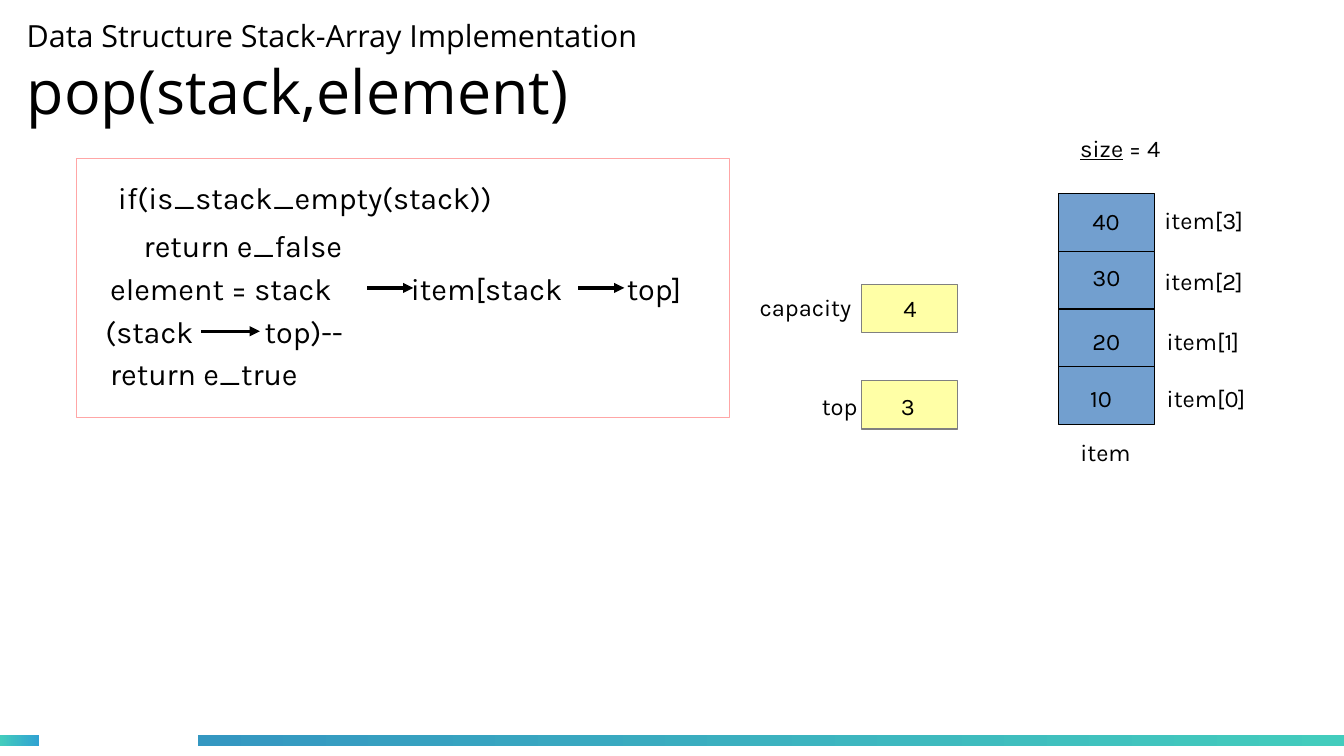
from dataclasses import dataclass

from lxml import etree
from pptx import Presentation
from pptx.dml.color import RGBColor
from pptx.enum import shapes, text
from pptx.oxml import ns
from pptx.util import Pt

BLACK = "000000"
CODE_SIZE = 18
LABEL_SIZE = 14


@dataclass
class Panel:
    left: float
    top: float
    width: float
    height: float
    fill: str
    line: str


@dataclass
class Bar:
    left: float
    width: float
    start: str
    end: str


@dataclass
class Label:
    left: float
    top: float
    width: float
    words: str
    size: float = LABEL_SIZE
    tabs: tuple[float, ...] = ()


@dataclass
class Arrow:
    start: float
    end: float
    y: float


def colour(value: str) -> RGBColor:
    return RGBColor.from_string(value)


def add_rectangle(page, left: float, top: float, width: float, height: float):
    shape = page.shapes.add_shape(
        shapes.MSO_SHAPE.RECTANGLE, Pt(left), Pt(top), Pt(width), Pt(height))
    shape.shadow.inherit = False
    return shape


def draw_panel(page, panel: Panel) -> None:
    shape = add_rectangle(page, panel.left, panel.top, panel.width, panel.height)
    shape.fill.solid()
    shape.fill.fore_color.rgb = colour(panel.fill)
    shape.line.color.rgb = colour(panel.line)
    shape.line.width = Pt(0)


def draw_bar(page, bar: Bar) -> None:
    shape = add_rectangle(page, bar.left, 434.3, bar.width, 6)
    shape.fill.gradient()
    shape.fill.gradient_angle = 0
    for stop, value in zip(shape.fill.gradient_stops, (bar.start, bar.end)):
        stop.color.rgb = colour(value)
    shape.line.fill.background()


def add_span(para, words: str, size: float, face: str, underline: bool = False) -> None:
    span = para.add_run()
    span.text = words
    span.font.size = Pt(size)
    span.font.name = face
    span.font.color.rgb = colour(BLACK)
    if underline:
        span.font.underline = True


def add_box(page, left: float, top: float, width: float, height: float):
    box = page.shapes.add_textbox(Pt(left), Pt(top), Pt(width), Pt(height))
    box.text_frame.word_wrap = True
    return box.text_frame


def draw_label(page, label: Label) -> None:
    frame = add_box(page, label.left, label.top, label.width, label.size + 13)
    para = frame.paragraphs[0]
    if label.tabs:
        stops = etree.SubElement(para._p.get_or_add_pPr(), ns.qn("a:tabLst"))
        for position in label.tabs:
            etree.SubElement(stops, ns.qn("a:tab"), pos=str(Pt(position)), algn="l")
    add_span(para, label.words, label.size, "Karla")


def draw_arrow(page, arrow: Arrow) -> None:
    line = page.shapes.add_connector(
        shapes.MSO_CONNECTOR.STRAIGHT,
        Pt(arrow.start), Pt(arrow.y), Pt(arrow.end), Pt(arrow.y))
    line.line.color.rgb = colour(BLACK)
    line.line.width = Pt(0)
    etree.SubElement(line.line._get_or_add_ln(), ns.qn("a:tailEnd"), type="triangle")
    etree.SubElement(line._element.spPr, ns.qn("a:effectLst"))


def draw_title(page) -> None:
    frame = add_box(page, 15.8, 5.8, 721.4, 73.4)
    frame.margin_left = frame.margin_right = 0
    frame.margin_top = frame.margin_bottom = 0
    frame.vertical_anchor = text.MSO_ANCHOR.MIDDLE
    para = frame.paragraphs[0]
    add_span(para, "Data Structure Stack-Array Implementation", 18, "Open Sans")
    para.add_line_break()
    add_span(para, "pop(stack,element)", 36, "Open Sans")


def draw_size(page) -> None:
    para = add_box(page, 630.7, 75.6, 93.6, 27).paragraphs[0]
    add_span(para, "size", LABEL_SIZE, "Karla", underline=True)
    add_span(para, " = 4", LABEL_SIZE, "Karla")


BARS = [
    Bar(0, 23.3, "43CCBD", "30A2D2"),
    Bar(117, 676.5, "3497C1", "43CCBD"),
]

CODE_PANEL = Panel(45.2, 93.4, 385.5, 153.2, "FFFFFF", "FFA6A6")
FIELD_PANELS = [Panel(508.7, top, 56.8, 28.4, "FFFFA6", "808080")
                for top in (168, 224.9)]
CELL_HEIGHT = 34.1
CELL_PANELS = [Panel(625, 114.3 + row * CELL_HEIGHT, 56.8, CELL_HEIGHT, "729FCF", BLACK)
               for row in range(4)]

CODE_LINES = [
    Label(62.6, 102.2, 260, "if(is_stack_empty(stack))", CODE_SIZE),
    Label(77.8, 130.3, 160, "return e_false", CODE_SIZE),
    Label(58, 156.2, 376, "element = stack\titem[stack\ttop]", CODE_SIZE, (177.5, 305)),
    Label(55.2, 181.4, 248, "(stack\ttop)--", CODE_SIZE, (94,)),
    Label(58, 205.9, 175, "return e_true", CODE_SIZE),
]
CODE_ARROWS = [
    Arrow(216.7, 244, 170),
    Arrow(341.3, 368.6, 170),
    Arrow(118.8, 153.4, 195.6),
]

FIELD_LABELS = [
    Label(441.4, 169.2, 79.2, "capacity"),
    Label(526.3, 169.9, 30, "4"),
    Label(478.1, 227.5, 51.1, "top"),
    Label(524.8, 227.5, 36, "3"),
    Label(630.7, 254.9, 57, "item"),
]
VALUE_LABELS = [
    Label(637.9, 118.8, 39.6, "40"),
    Label(637.9, 151.9, 39.6, "30"),
    Label(637.9, 189.4, 39.6, "20"),
    Label(636.5, 223.2, 39.6, "10"),
]
INDEX_LABELS = [
    Label(680.4, 118.1, 69, "item[3]"),
    Label(680.4, 154.1, 69, "item[2]"),
    Label(681.8, 189.4, 69, "item[1]"),
    Label(681.8, 223.2, 69, "item[0]"),
]


def main() -> None:
    deck = Presentation()
    deck.slide_width, deck.slide_height = Pt(793.5), Pt(446.4)
    page = deck.slides.add_slide(deck.slide_layouts[6])
    for bar in BARS:
        draw_bar(page, bar)
    draw_title(page)
    for panel in [CODE_PANEL] + FIELD_PANELS + CELL_PANELS:
        draw_panel(page, panel)
    draw_size(page)
    for label in CODE_LINES + FIELD_LABELS + VALUE_LABELS + INDEX_LABELS:
        draw_label(page, label)
    for arrow in CODE_ARROWS:
        draw_arrow(page, arrow)
    deck.save("out.pptx")


if __name__ == "__main__":
    main()
